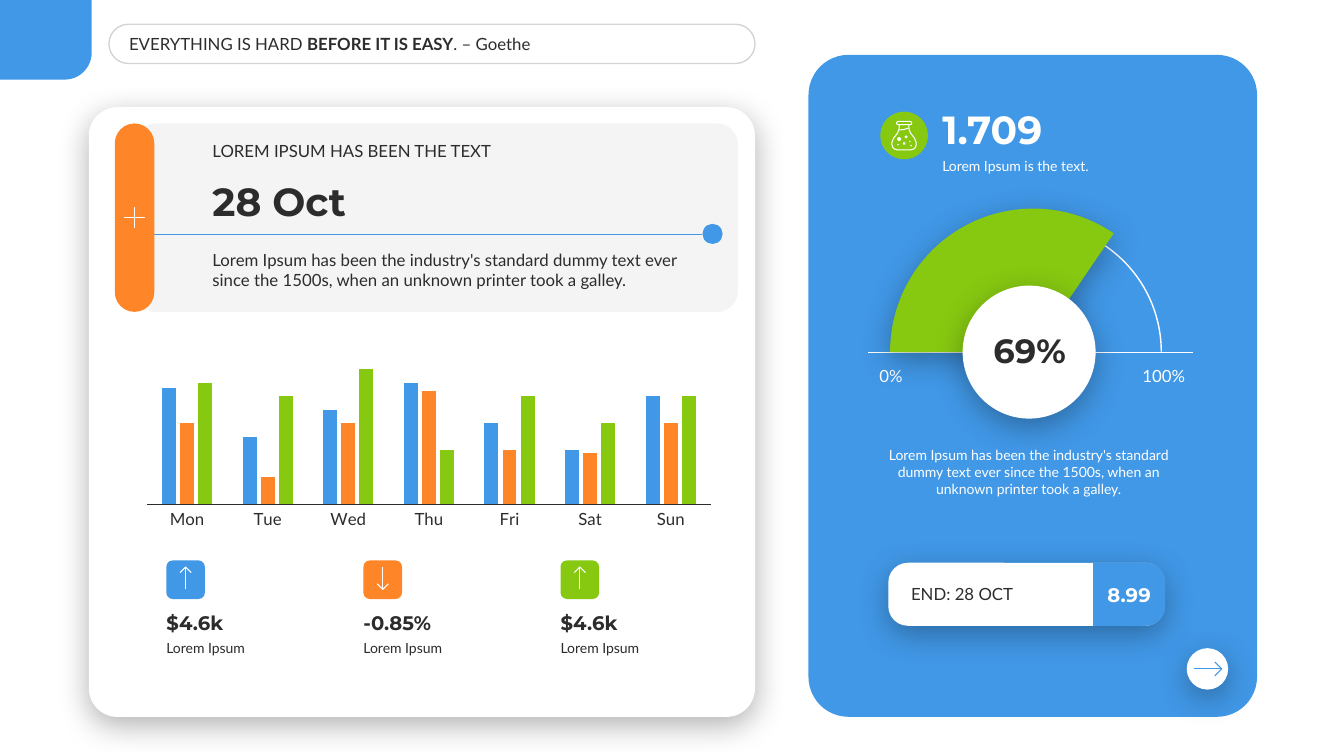
from lxml.etree import SubElement
from pptx import Presentation
from pptx.chart.data import CategoryChartData
from pptx.dml.color import RGBColor
from pptx.enum.chart import XL_CHART_TYPE as Chart, XL_TICK_MARK as Tick
from pptx.enum.shapes import MSO_CONNECTOR as Connector, MSO_SHAPE as Preset
from pptx.enum.text import MSO_ANCHOR as Anchor, MSO_AUTO_SIZE as AutoSize, PP_ALIGN as Align
from pptx.oxml.ns import qn
from pptx.util import Pt

COLORS = {
    "ink": "2C2C2C",
    "white": "FFFFFF",
    "blue": "4198E7",
    "orange": "FF8529",
    "green": "87C911",
}
BODY, HEADING = "Lato", "Montserrat"
DEGREE = 0.6  # one degree in adjustment units


def color(name):
    return RGBColor.from_string(COLORS[name])


class Canvas:
    """Draws on one slide; every length is in points."""

    def __init__(self, slide):
        self.shapes = slide.shapes

    def paint(self, shape, fill=None, line=None, weight=0.75, alpha=None, shadow=False):
        """Set fill, outline, opacity in percent and the soft drop shadow."""
        shape.shadow.inherit = False
        if fill:
            shape.fill.solid()
            shape.fill.fore_color.rgb = color(fill)
        else:
            shape.fill.background()
        if line:
            shape.line.color.rgb = color(line)
            shape.line.width = Pt(weight)
        else:
            shape.line.fill.background()
        if alpha:
            tint = shape.element.spPr.xpath(".//a:srgbClr")[0]
            SubElement(tint, qn("a:alpha"), val=str(alpha * 1000))
        if shadow:
            effects = shape.element.spPr.find(qn("a:effectLst"))
            drop = SubElement(effects, qn("a:outerShdw"), blurRad=str(Pt(23)), dist=str(Pt(6)),
                              dir="5400000", algn="t", rotWithShape="0")
            black = SubElement(drop, qn("a:srgbClr"), val="000000")
            SubElement(black, qn("a:alpha"), val="30000")

    def shape(self, preset, left, top, width, height, adjust=(), quarter_turn=False, **style):
        """Add a preset shape; the box is the one seen after any quarter turn."""
        if quarter_turn:
            left, top = left + (width - height) / 2, top + (height - width) / 2
            width, height = height, width
        shape = self.shapes.add_shape(preset, Pt(left), Pt(top), Pt(width), Pt(height))
        for index, value in enumerate(adjust):
            shape.adjustments[index] = value
        shape.rotation = 90 if quarter_turn else 0
        self.paint(shape, **style)

    def circle(self, x, y, radius, **style):
        self.shape(Preset.OVAL, x - radius, y - radius, 2 * radius, 2 * radius, **style)

    def line(self, x1, y1, x2, y2, tint, weight):
        line = self.shapes.add_connector(Connector.STRAIGHT, Pt(x1), Pt(y1), Pt(x2), Pt(y2))
        line.line.color.rgb = color(tint)
        line.line.width = Pt(weight)
        SubElement(line.element.spPr, qn("a:effectLst"))

    def strokes(self, x, y, paths, tint):
        """Draw open outlines whose points are offsets from x, y."""
        paths = [[(Pt(x + dx), Pt(y + dy)) for dx, dy in path] for path in paths]
        builder = self.shapes.build_freeform(*paths[0][0], scale=1.0)
        for index, path in enumerate(paths):
            if index:
                builder.move_to(*path[0])
            builder.add_line_segments(path[1:], close=False)
        self.paint(builder.convert_to_shape(), line=tint)

    def text(self, content, left, top, width, height, size=12, font=BODY, tint="ink", bold=False,
             align=Align.LEFT, anchor=Anchor.TOP, inset=7.2, inset_y=3.6, wrap=True):
        """Add a text box; content is a string or a list of (text, bold) runs."""
        box = self.shapes.add_textbox(Pt(left), Pt(top), Pt(width), Pt(height))
        frame = box.text_frame
        frame.word_wrap = wrap
        frame.auto_size = AutoSize.SHAPE_TO_FIT_TEXT
        frame.vertical_anchor = anchor
        frame.margin_left = frame.margin_right = Pt(inset)
        frame.margin_top = frame.margin_bottom = Pt(inset_y)
        paragraph = frame.paragraphs[0]
        paragraph.alignment = align
        runs = [(content, bold)] if isinstance(content, str) else content
        for words, heavy in runs:
            run = paragraph.add_run()
            run.text = words
            run.font.size, run.font.name, run.font.bold = Pt(size), font, heavy
            run.font.color.rgb = color(tint)

    def columns(self, left, top, width, height, days, series):
        data = CategoryChartData()
        data.categories = days
        for index, (_, values) in enumerate(series, 1):
            data.add_series(f"Series {index}", values)
        chart = self.shapes.add_chart(Chart.COLUMN_CLUSTERED, Pt(left), Pt(top),
                                      Pt(width), Pt(height), data).chart
        chart.has_legend = chart.has_title = False
        chart.font.size, chart.font.name = Pt(12), BODY
        chart.font.color.rgb = color("ink")
        plot = chart.plots[0]
        plot.gap_width, plot.overlap, plot.vary_by_categories = 220, -30, False
        for bars, (tint, _) in zip(plot.series, series):
            bars.format.fill.solid()
            bars.format.fill.fore_color.rgb = color(tint)
        scale, axis = chart.value_axis, chart.category_axis
        scale.minimum_scale, scale.maximum_scale = 0, 120
        scale.has_major_gridlines = scale.visible = False
        axis.major_tick_mark = axis.minor_tick_mark = Tick.NONE
        axis.format.line.color.rgb = color("ink")
        axis.format.line.width = Pt(0.5)


def draw_header(canvas):
    canvas.shape(Preset.ROUNDED_RECTANGLE, 77.8, 17.3, 461.5, 28.1, [0.5],
                 line="ink", weight=1, alpha=20)
    canvas.text([("EVERYTHING IS HARD ", False), ("BEFORE IT IS EASY", True), (". – Goethe", False)],
                89.3, 20.4, 437.8, 21.8, anchor=Anchor.MIDDLE, inset=2.9)
    canvas.shape(Preset.ROUND_1_RECTANGLE, 0, 0, 65.5, 56.9, [0.34], quarter_turn=True, fill="blue")


def draw_event(canvas):
    canvas.shape(Preset.ROUNDED_RECTANGLE, 96.5, 88.2, 430.6, 134.6, [0.109], fill="ink", alpha=5)
    canvas.text("Lorem Ipsum has been the industry's standard dummy text ever since the 1500s, "
                "when an unknown printer took a galley.", 144.7, 175, 367.2, 36)
    canvas.text("28 Oct", 144.7, 123.1, 367.2, 41, size=28, font=HEADING, bold=True,
                anchor=Anchor.BOTTOM)
    canvas.text("LOREM IPSUM HAS BEEN THE TEXT", 144.7, 96.5, 367.2, 21.8, anchor=Anchor.BOTTOM)
    canvas.line(103.7, 167.3, 501.8, 167.3, "blue", 0.5)
    canvas.circle(509, 167.1, 7.2, fill="blue")
    canvas.shape(Preset.ROUNDED_RECTANGLE, 82, 88.2, 28.2, 134.6, [0.5], fill="orange")
    canvas.strokes(96.1, 155.7, [[(-7.5, 0), (7.5, 0)], [(0, -7.5), (0, 7.5)]], "white")


def draw_indicators(canvas):
    indicators = [("$4.6k", "blue", 1), ("-0.85%", "orange", -1), ("$4.6k", "green", 1)]
    for index, (amount, tint, up) in enumerate(indicators):
        left = 118.8 + 140.8 * index
        canvas.shape(Preset.ROUNDED_RECTANGLE, left, 400.3, 27.6, 27.6, fill=tint)
        canvas.strokes(left + 13.8, 413, [[(0, 8 * up), (0, -8 * up)],
                                          [(-4, -4 * up), (0, -8 * up), (4, -4 * up)]], "white")
        canvas.text("Lorem Ipsum", left, 453.6, 101.5, 19.4, size=10, inset=0)
        canvas.text(amount, left, 432, 101.5, 24.5, size=14, font=HEADING, bold=True,
                    anchor=Anchor.BOTTOM, inset=0)


def draw_flask(canvas, x, y):
    canvas.circle(x, y, 17, fill="green")
    canvas.shape(Preset.ROUNDED_RECTANGLE, x - 5.4, y - 10, 10.8, 2.2, [0.5], line="white")
    side = [(3.4, -7.4), (3.6, -4.2), (4.8, -1.5), (7.4, 1.8), (8.6, 4.8), (8.7, 6.6),
            (8, 8.6), (6.6, 9.8), (4.8, 10.2)]
    glass = [(-dx, dy) for dx, dy in side] + side[::-1]
    canvas.strokes(x, y, [glass, [(-3.4, -4), (-0.5, -4.2), (3.2, -5.3)]], "white")
    for dx, dy, radius in [(-3.6, 2.5, 1.4), (1.4, 1, 1), (0, 5.7, 0.9),
                           (4.1, 4.3, 0.5), (5, 7.2, 0.6), (-4.3, 6.5, 0.5)]:
        canvas.circle(x + dx, y + dy, radius, fill="white")


def draw_gauge(canvas):
    canvas.shape(Preset.ARC, 646.6, 159.8, 182.9, 182.9, [180 * DEGREE, 0], line="white", weight=1)
    canvas.line(619.9, 252, 852.5, 252, "white", 1)
    for label, left, width in [("0%", 625, 23), ("100%", 810, 42.5)]:
        canvas.text(label, left, 258.5, width, 20.2, tint="white", align=Align.CENTER,
                    anchor=Anchor.MIDDLE, inset=0, inset_y=0, wrap=False)
    canvas.shape(Preset.ARC, 635.8, 149, 204.5, 204.5, [179.82 * DEGREE, 304.24 * DEGREE],
                 fill="green", shadow=True)
    canvas.text("Lorem Ipsum has been the industry's standard dummy text ever since the 1500s, "
                "when an unknown printer took a galley.", 614.9, 315.4, 239.8, 43.9,
                size=10, tint="white", align=Align.CENTER)
    canvas.circle(735.1, 251.5, 47.5, fill="white", shadow=True)
    canvas.text("69%", 681.8, 231.8, 107.3, 36, size=24, font=HEADING, bold=True,
                align=Align.CENTER, anchor=Anchor.MIDDLE)


def draw_price(canvas):
    canvas.shape(Preset.ROUNDED_RECTANGLE, 634.5, 402, 197.5, 45, [0.311], fill="white", shadow=True)
    canvas.text("END: 28 OCT", 643.7, 413.3, 141.1, 21.8, anchor=Anchor.MIDDLE)
    canvas.shape(Preset.ROUND_2_SAME_RECTANGLE, 780.8, 402, 51.5, 45, [0.311, 0],
                 quarter_turn=True, fill="blue")
    canvas.text("8.99", 780.8, 412.6, 51.5, 24.5, size=14, font=HEADING, tint="white", bold=True,
                align=Align.CENTER, anchor=Anchor.MIDDLE, inset=2.9)


def draw_panel(canvas):
    canvas.text("Lorem Ipsum is the text.", 666, 108.7, 196.6, 19.4, size=10, tint="white")
    canvas.text("1.709", 666, 71.3, 196.6, 41, size=28, font=HEADING, tint="white", bold=True,
                anchor=Anchor.BOTTOM)
    draw_flask(canvas, 645.8, 96.8)
    draw_gauge(canvas)
    canvas.circle(862.5, 477.8, 14.8, fill="white", shadow=True)
    canvas.strokes(862.7, 477.8, [[(-10, 0), (10, 0)], [(5, -5), (10, 0), (5, 5)]], "blue")
    draw_price(canvas)


def main():
    deck = Presentation()
    deck.slide_width, deck.slide_height = Pt(960), Pt(540)
    canvas = Canvas(deck.slides.add_slide(deck.slide_layouts[6]))
    canvas.shape(Preset.ROUNDED_RECTANGLE, 63.4, 76.5, 475.9, 435.6, [0.047], fill="white", shadow=True)
    draw_header(canvas)
    canvas.shape(Preset.ROUNDED_RECTANGLE, 577.5, 39.2, 320.4, 472.8, [0.089], fill="blue")
    draw_event(canvas)
    canvas.columns(96.5, 241.9, 419.8, 138.2, ["Mon", "Tue", "Wed", "Thu", "Fri", "Sat", "Sun"],
                   [("blue", [86, 50, 70, 90, 60, 40, 80]),
                    ("orange", [60, 20, 60, 84, 40, 38, 60]),
                    ("green", [90, 80, 100, 40, 80, 60, 80])])
    draw_indicators(canvas)
    draw_panel(canvas)
    deck.save("out.pptx")


if __name__ == "__main__":
    main()
